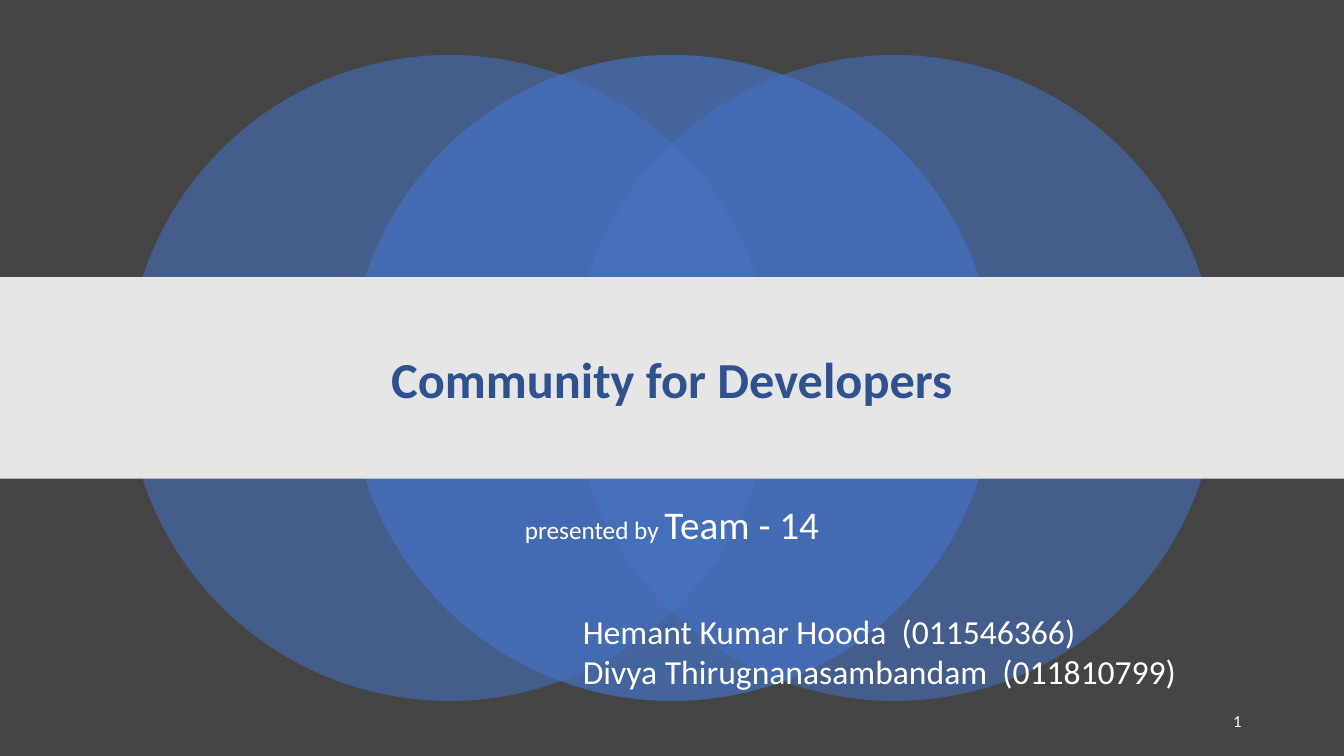
from lxml import etree
from pptx import Presentation
from pptx.dml.color import RGBColor
from pptx.enum.shapes import MSO_SHAPE
from pptx.enum.text import MSO_ANCHOR, PP_ALIGN
from pptx.oxml.ns import qn
from pptx.util import Inches, Pt

OVAL, RECTANGLE = MSO_SHAPE.OVAL, MSO_SHAPE.RECTANGLE
LEFT, CENTER, RIGHT = PP_ALIGN.LEFT, PP_ALIGN.CENTER, PP_ALIGN.RIGHT
TOP, MIDDLE = MSO_ANCHOR.TOP, MSO_ANCHOR.MIDDLE

CHARCOAL = RGBColor(0x45, 0x45, 0x45)
BLUE = RGBColor(0x44, 0x72, 0xC4)
NAVY = RGBColor(0x2F, 0x52, 0x8F)
PALE_GREY = RGBColor(0xE7, 0xE6, 0xE6)
WHITE = RGBColor(0xFF, 0xFF, 0xFF)

COLUMNS, ROWS = 160, 90
TITLE_ONLY = 5


class CoverSlide:
    """Draws on one slide; every place is (column, row, columns wide, rows high)."""

    font_name = "Calibri"

    def __init__(self, deck):
        self.column = deck.slide_width / COLUMNS
        self.row = deck.slide_height / ROWS
        self.page = deck.slides.add_slide(deck.slide_layouts[TITLE_ONLY])
        self.page.background.fill.solid()
        self.page.background.fill.fore_color.rgb = CHARCOAL

    def measure(self, place):
        left, top, width, height = place
        return (round(left * self.column), round(top * self.row),
                round(width * self.column), round(height * self.row))

    def shape(self, kind, place, color, opacity=100):
        shape = self.page.shapes.add_shape(kind, *self.measure(place))
        shape.shadow.inherit = False
        shape.line.fill.background()
        shape.fill.solid()
        shape.fill.fore_color.rgb = color
        if opacity < 100:
            color_element = shape.fill._xPr.find(".//" + qn("a:srgbClr"))
            etree.SubElement(color_element, qn("a:alpha"), val=str(opacity * 1000))

    def style(self, span, size, color, bold=False):
        span.font.name = self.font_name
        span.font.size = Pt(size)
        span.font.color.rgb = color
        span.font.bold = bold

    def title(self, text, place, size, color):
        box = self.page.shapes.title
        box.left, box.top, box.width, box.height = self.measure(place)
        self.page.shapes._spTree.append(box._element)  # in front of the band
        frame = box.text_frame
        frame.text = text
        frame.vertical_anchor = MIDDLE
        para = frame.paragraphs[0]
        para.alignment = CENTER
        para.line_spacing = 0.9
        self.style(para.runs[0], size, color, bold=True)

    def text(self, lines, place, align=LEFT, anchor=TOP):
        """Each line is a list of (text, size) spans."""
        box = self.page.shapes.add_textbox(*self.measure(place))
        frame = box.text_frame
        frame.word_wrap = True
        frame.vertical_anchor = anchor
        for index, spans in enumerate(lines):
            para = frame.add_paragraph() if index else frame.paragraphs[0]
            para.alignment = align
            for words, size in spans:
                span = para.add_run()
                span.text = words
                self.style(span, size, WHITE)


def main():
    deck = Presentation()
    deck.slide_width, deck.slide_height = Inches(13.33), Inches(7.5)
    cover = CoverSlide(deck)

    diameter, step = 76.9, 26.5
    middle_left = (COLUMNS - diameter) / 2
    circle_top = (ROWS - diameter) / 2
    for offset, opacity in ((-1, 55), (1, 55), (0, 70)):
        place = (middle_left + offset * step, circle_top, diameter, diameter)
        cover.shape(OVAL, place, BLUE, opacity)

    cover.shape(RECTANGLE, (0, 33, COLUMNS, 24), PALE_GREY)
    cover.title("Community for Developers", (20, 36.5, 120, 18), 36, NAVY)
    cover.text([[("presented by ", 18), ("Team - 14", 28)]], (20, 59, 120, 10), CENTER)
    cover.text([[("1", 12)]], (113, 83.4, 36, 4.8), RIGHT, MIDDLE)
    members = ("Hemant Kumar Hooda  (011546366)",
               "Divya Thirugnanasambandam  (011810799)")
    cover.text([[(member, 24)] for member in members], (68.2, 72.1, 87.7, 10.9))

    deck.save("out.pptx")


if __name__ == "__main__":
    main()
